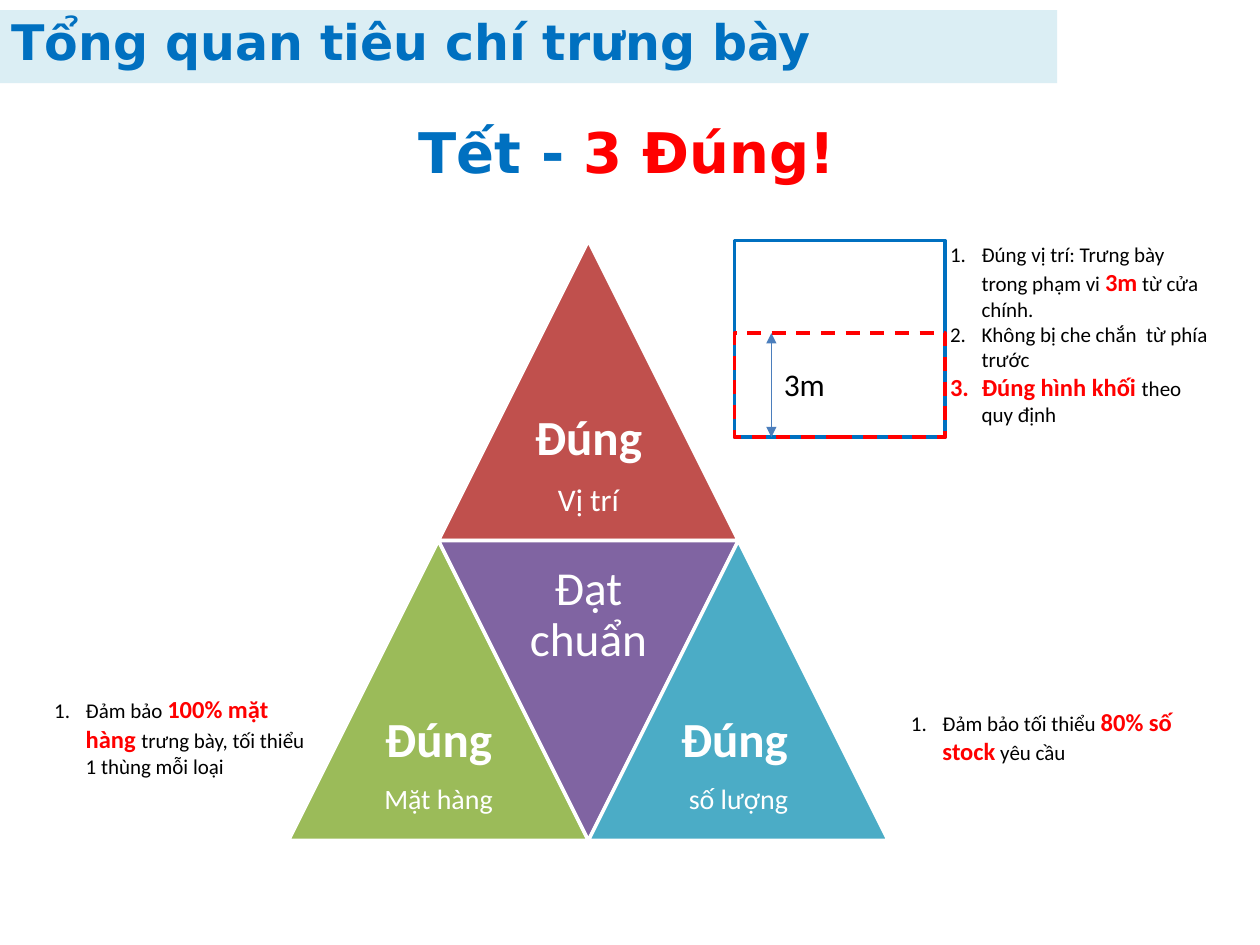
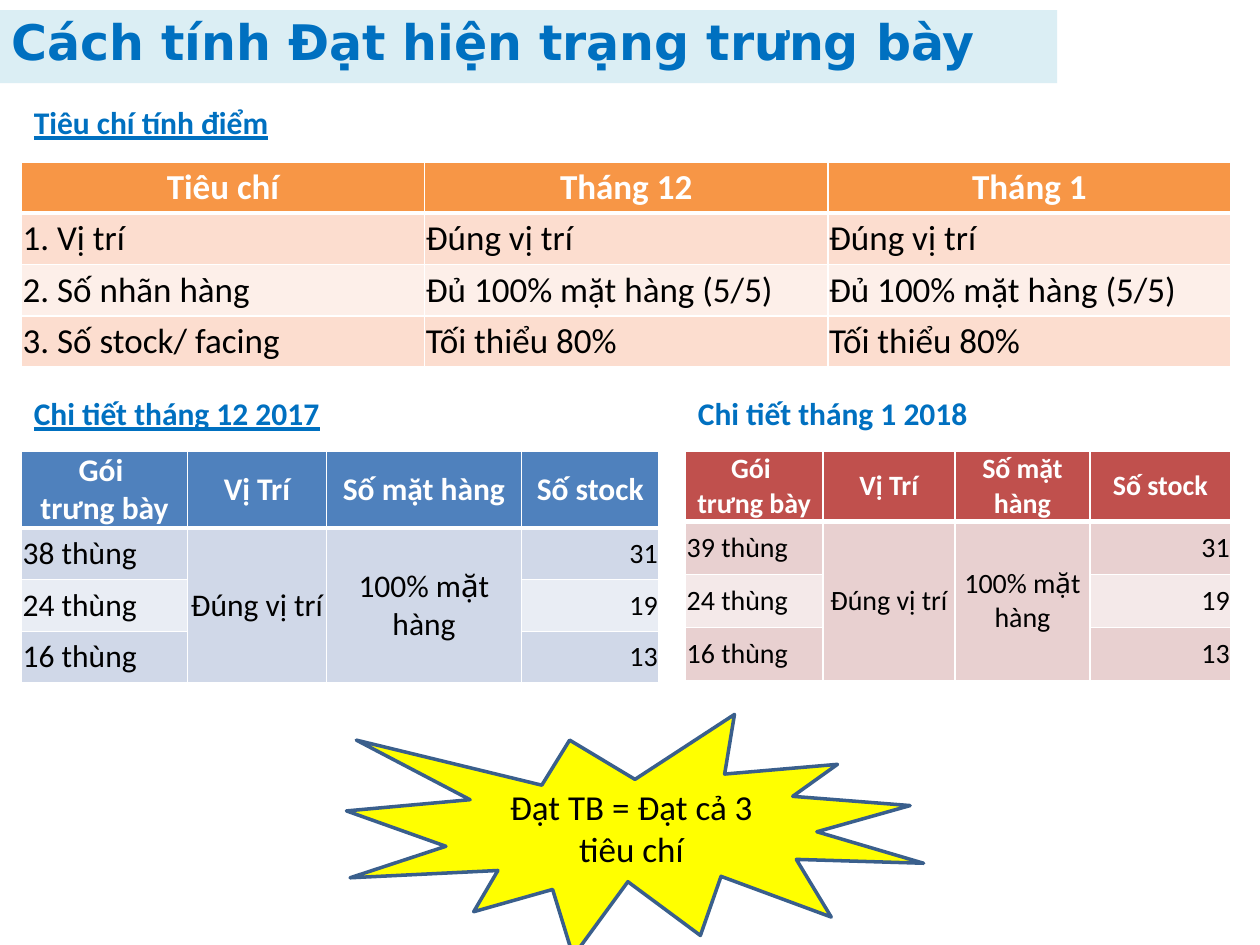
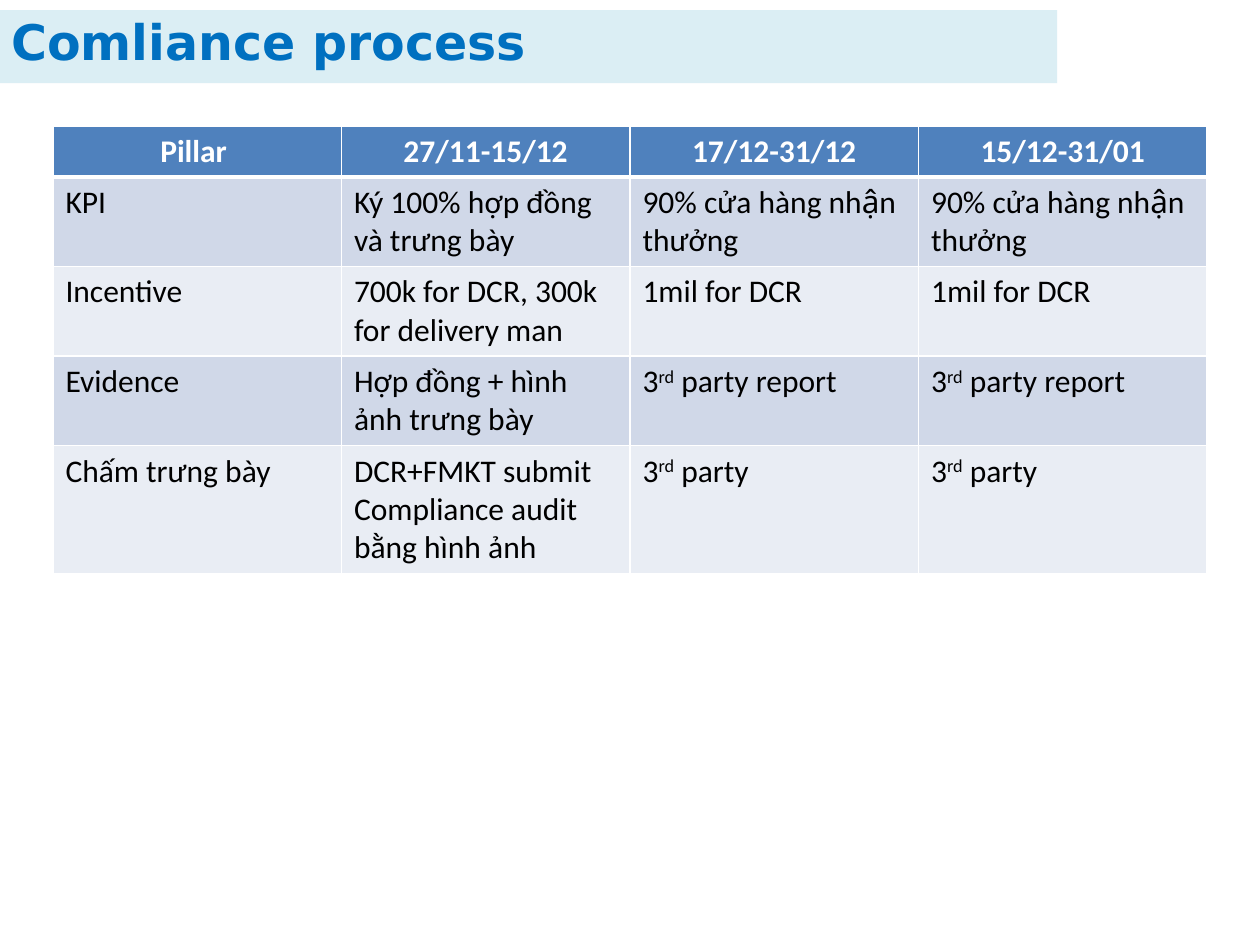
from functools import partial

from lxml.etree import SubElement as sub
from pptx import Presentation
from pptx.dml.color import RGBColor as RGB
from pptx.enum.dml import MSO_LINE as DASH
from pptx.enum.shapes import MSO_CONNECTOR as WIRE, MSO_SHAPE as FORM
from pptx.enum.text import MSO_ANCHOR as ANCHOR, MSO_AUTO_SIZE as AUTO, PP_ALIGN as ALIGN
from pptx.oxml.ns import qn
from pptx.util import Inches, Pt

# One grid unit is a tenth of the slide's width; all places are in units.
UNIT = Inches(1)
WIDE, HIGH = 10, 7.5
BODY, HEAD = "Calibri", "DejaVu Sans"
HUES = {
    "white": "FFFFFF", "ink": "000000", "title": "0070C0", "band": "DBEEF4",
    "hot": "FF0000", "blue": "4F81BD", "red": "C0504D", "green": "9BBB59",
    "plum": "8064A2", "teal": "4BACC6", "orange": "F79646", "arrow": "4B7EBC",
    "sun": "FFFF00", "edge": "3A5F8C",
}
# Table tints for odd and even body rows
TINTS = {
    "blue": ("D0D8E8", "E9EDF4"),
    "red": ("E8D0D0", "F4E9E9"),
    "orange": ("FCDDCF", "FDEFE9"),
}
SIDES = {"l": ALIGN.LEFT, "c": ALIGN.CENTER, "r": ALIGN.RIGHT}
PAD = (0.1, 0.05)
# Combining tone marks: grave, acute, hook, dot below
MARKS = {
    0x300: ("àằồì", "aăôi"),
    0x301: ("ýấúí", "yâui"),
    0x309: ("ửảở", "ưaơ"),
    0x323: ("ợậịặ", "ơâiă"),
}
TONES = str.maketrans({whole: base + chr(mark) for mark, (wholes, bases) in MARKS.items()
                       for whole, base in zip(wholes, bases)})


def loose(text):
    """Spell each toned vowel as a letter and a combining mark."""
    return text.translate(TONES)


def hue(name):
    return RGB.from_string(HUES.get(name, name))


def at(*box):
    return [round(side * UNIT) for side in box]


def style(run, size, ink="ink", bold=False, face=BODY):
    font = run.font
    font.size, font.bold, font.name = Pt(size), bold, face
    font.color.rgb = hue(ink)


def lift(run):
    """Make the run a superscript."""
    run.font._element.set("baseline", "30000")


hot = partial(style, size=14, ink="hot", bold=True)


def write(frame, lines, size, ink="ink", bold=False, face=BODY, side="l", accent=None):
    """Fill a text frame; parts between asterisks also get the accent."""
    for row, line in enumerate(lines):
        par = frame.add_paragraph() if row else frame.paragraphs[0]
        par.alignment, par.space_before = SIDES[side], Pt(0)
        for n, part in enumerate(line.split("*")):
            if part:
                run = par.add_run()
                run.text = part
                style(run, size, ink, bold, face)
                if n % 2:
                    accent(run)


def setup(frame, pad=PAD, anchor=ANCHOR.TOP):
    frame.word_wrap, frame.auto_size = True, AUTO.NONE
    frame.vertical_anchor = anchor
    frame.margin_left = frame.margin_right = round(pad[0] * UNIT)
    frame.margin_top = frame.margin_bottom = round(pad[1] * UNIT)
    return frame


def move(holder, box, pad=PAD):
    holder.left, holder.top, holder.width, holder.height = at(*box)
    return setup(holder.text_frame, pad)


def label(slide, box, pad=PAD, anchor=ANCHOR.TOP):
    return setup(slide.shapes.add_textbox(*at(*box)).text_frame, pad, anchor)


def shape(slide, form, box, fill=None, line=None):
    item = slide.shapes.add_shape(form, *at(*box))
    item.shadow.inherit = False
    if fill:
        item.fill.solid()
        item.fill.fore_color.rgb = hue(fill)
    else:
        item.fill.background()
    if line:
        item.line.color.rgb, item.line.width = hue(line), Pt(2)
    else:
        item.line.fill.background()
    return item


def start(deck, layout, title):
    """Add a slide with the title on its band."""
    slide = deck.slides.add_slide(deck.slide_layouts.get_by_name(layout))
    band = shape(slide, FORM.RECTANGLE, (0, 0.08, 8.39, 0.58), "band")
    frame = move(slide.shapes.title, (0.04, 0.07, 8.13, 0.52), (0.05, 0.02))
    write(frame, [title], 28, "title", True, HEAD)
    slide.shapes.title._element.addprevious(band._element)
    return slide


def steps(holder, box, lines):
    """Turn a body placeholder into a numbered list."""
    frame = move(holder, box)
    write(frame, lines, 12, accent=hot)
    for par in frame.paragraphs:
        props = par._p.get_or_add_pPr()
        props.set("marL", str(UNIT // 4))
        props.set("indent", str(-UNIT // 4))
        sub(props, qn("a:buFont"), typeface="+mj-lt")
        sub(props, qn("a:buAutoNum"), type="arabicPeriod")


def pyramid(slide, box):
    x, y, side = box
    parts = [
        (1, 0, "red", [("*Đúng*", 28), ("Vị trí", 18)]),
        (0, 1, "green", [("*Đúng*", 28), ("Mặt hàng", 16)]),
        (1, 1, "plum", [("Đạt chuẩn", 27)]),
        (2, 1, "teal", [("*Đúng* ", 28), ("số lượng", 16)]),
    ]
    for col, row, fill, lines in parts:
        left, top = x + col * side / 2, y + row * side
        piece = shape(slide, FORM.ISOSCELES_TRIANGLE, (left, top, side, side), fill, "white")
        down = fill == "plum"
        piece.rotation = 180 if down else 0
        spot = (left + side / 4, top + (0 if down else side / 2), side / 2, side / 2)
        frame = label(slide, spot, (0.12, 0.12), ANCHOR.MIDDLE)
        write(frame, [text for text, _ in lines], 20, "white", side="c",
              accent=partial(style, size=28, ink="white", bold=True))
        for par, (_, size) in zip(frame.paragraphs, lines):
            par.line_spacing, par.space_after = 0.9, Pt(round(0.35 * size))
            par.runs[0].font.size = Pt(size)


def shop(slide, box):
    """Draw the shop floor with its dashed zone by the door."""
    x, y, w, h = box
    mid, tall = y + 0.47 * h, 0.53 * h
    shape(slide, FORM.RECTANGLE, box, line="title")
    zone = shape(slide, FORM.RECTANGLE, (x, mid, w, tall), line="hot")
    zone.line.dash_style = DASH.DASH
    span = x + 0.175 * w
    arrow = slide.shapes.add_connector(WIRE.STRAIGHT, *at(span, mid, span, y + h))
    arrow.line.color.rgb, arrow.line.width = hue("arrow"), Pt(0.75)
    line = arrow.line._get_or_add_ln()
    for end in ("a:headEnd", "a:tailEnd"):
        sub(line, qn(end), type="triangle")
    sub(arrow._element.spPr, qn("a:effectLst"))
    write(label(slide, (span, mid + tall / 4, 0.76, 0.4)), ["3m"], 18)


def edge(cell, low):
    """Give a cell white borders, the lower one of the given width."""
    props = cell._tc.get_or_add_tcPr()
    for n, (tag, width) in enumerate(zip("LRTB", (1, 1, 1, low))):
        line = props.makeelement(qn("a:ln" + tag), {"w": str(Pt(width))})
        sub(sub(line, qn("a:solidFill")), qn("a:srgbClr"), val=HUES["white"])
        props.insert(n, line)


def grid(slide, spot, cols, highs, rows, paint, size, sides, pad=(0.01, 0),
         anchor=ANCHOR.MIDDLE, small=None):
    """Add a table; None joins a cell to the one above it."""
    box = (*spot, sum(cols), sum(highs))
    table = slide.shapes.add_table(len(rows), len(cols), *at(*box)).table
    for col, width in zip(table.columns, cols):
        col.width = round(width * UNIT)
    for r, (row, high) in enumerate(zip(rows, highs)):
        table.rows[r].height = round(high * UNIT)
        for c, text in enumerate(row):
            cell = table.cell(r, c)
            cell.fill.solid()
            cell.fill.fore_color.rgb = hue(TINTS[paint][(r - 1) % 2] if r else paint)
            edge(cell, 1 if r else 3)
            cell.vertical_anchor = anchor
            cell.margin_left = cell.margin_right = round(pad[0] * UNIT)
            cell.margin_top = cell.margin_bottom = round(pad[1] * UNIT)
            if text is None:
                continue
            side = sides[c] if r else "c"
            points = small if small and side == "r" else size
            write(cell.text_frame, text.split("\n"), points, "ink" if r else "white",
                  not r, side=side, accent=lift)
    for c in range(len(cols)):
        gaps = [r for r, row in enumerate(rows) if row[c] is None]
        if gaps:
            table.cell(gaps[0] - 1, c).merge(table.cell(gaps[-1], c))


def heading(slide, spot, text, under=True):
    frame = label(slide, (*spot, 3.42, 0.4))
    write(frame, [text], 18, "title", True)
    frame.paragraphs[0].runs[0].font.underline = under


def detail(slide, spot, title, cols, highs, packs, paint, size, under=True):
    """Add a month's heading and its table below."""
    x, y = spot
    heading(slide, spot, title, under)
    stock = ("31", "19", "13")
    rows = [["Gói \ntrưng bày", "Vị Trí", "Số mặt hàng", "Số stock"]]
    for n, (pack, count) in enumerate(zip(packs, stock)):
        shared = (None, None) if n else ("Đúng vị trí", loose("100% mặt hàng"))
        rows.append([f"{pack} thùng", *shared, count])
    grid(slide, (x, y + 0.5), cols, highs, rows, paint, size, "lccr", small=16)


def overview(deck):
    slide = start(deck, "Comparison", "Tổng quan tiêu chí trưng bày")
    lead, place, goods, count = list(slide.placeholders)[1:5]
    write(move(lead, (0.21, 0.88, 9.53, 0.64)), ["Tết - *3 Đúng!*"], 32, "title", True,
          HEAD, "c", partial(style, size=32, ink="hot", bold=True, face=HEAD))
    pyramid(slide, (2.29, 1.91, 2.38))
    shop(slide, (5.83, 1.91, 1.67, 1.56))
    steps(place, (7.44, 1.87, 2.27, 1.58), [
        "Đúng vị trí: Trưng bày trong phạm vi *3m* từ cửa chính.",
        "Không bị che chắn  từ phía trước",
        "*Đúng hình khối *theo quy định"])
    steps(count, (7.13, 5.56, 2.3, 0.57), ["Đảm bảo tối thiểu *80% số stock* yêu cầu"])
    steps(goods, (0.33, 5.46, 2.27, 0.77),
          ["Đảm bảo *100% mặt hàng *trưng bày, tối thiểu 1 thùng mỗi loại"])


def scoring(deck):
    slide = start(deck, "Title Only", "Cách tính Đạt hiện trạng trưng bày")
    left, right = 0.17, 5.44
    heading(slide, (left, 0.77), "Tiêu chí tính điểm")
    rules = [("1. Vị trí", loose("Đúng vị trí")),
             ("2. Số nhãn hàng", "Đủ 100% mặt hàng (5/5)"),
             ("3. Số stock/ facing", "Tối thiểu 80%")]
    rows = [["Tiêu chí", "Tháng 12", "Tháng 1"]] + [[a, b, b] for a, b in rules]
    grid(slide, (left, 1.29), [3.2] * 3, [0.4, 0.41, 0.41, 0.4], rows, "orange", 20, "lll")
    detail(slide, (left, 3.08), "Chi tiết tháng 12 2017", [1.32, 1.1, 1.55, 1.09],
           [0.61] + [0.41] * 3, (38, 24, 16), "blue", 18)
    detail(slide, (right, 3.08), "Chi tiết tháng 1 2018", [1.09, 1.05, 1.07, 1.12],
           [0.56] + [0.42] * 3, (39, 24, 16), "red", 16, False)
    burst = shape(slide, FORM.EXPLOSION1, (2.75, 5.67, 4.58, 1.92), "sun", "edge")
    write(setup(burst.text_frame, anchor=ANCHOR.MIDDLE), ["Đạt TB = Đạt cả 3 tiêu chí"],
          20, side="c")


def process(deck):
    slide = start(deck, "Title Only", "Comliance process")
    rows = [
        ["Pillar ", "27/11-15/12", "17/12-31/12", "15/12-31/01"],
        ["KPI", "Ký 100% hợp đồng và trưng bày"] + ["90% cửa hàng nhận thưởng"] * 2,
        ["Incentive", "700k for DCR, 300k for delivery man"] + ["1mil for DCR"] * 2,
        ["Evidence", "Hợp đồng + hình ảnh trưng bày"] + ["3*rd* party report"] * 2,
        ["Chấm trưng bày", "DCR+FMKT submit\nCompliance audit bằng hình ảnh"]
        + ["3*rd* party"] * 2,
    ]
    rows = [[loose(text) for text in row] for row in rows]
    grid(slide, (0.42, 1), [2.29] * 4, [0.4] * 5, rows, "blue", 18, "llll", PAD, ANCHOR.TOP)


def main():
    deck = Presentation()
    deck.slide_width, deck.slide_height = at(WIDE, HIGH)
    for build in (overview, scoring, process):
        build(deck)
    deck.save("out.pptx")


if __name__ == "__main__":
    main()
